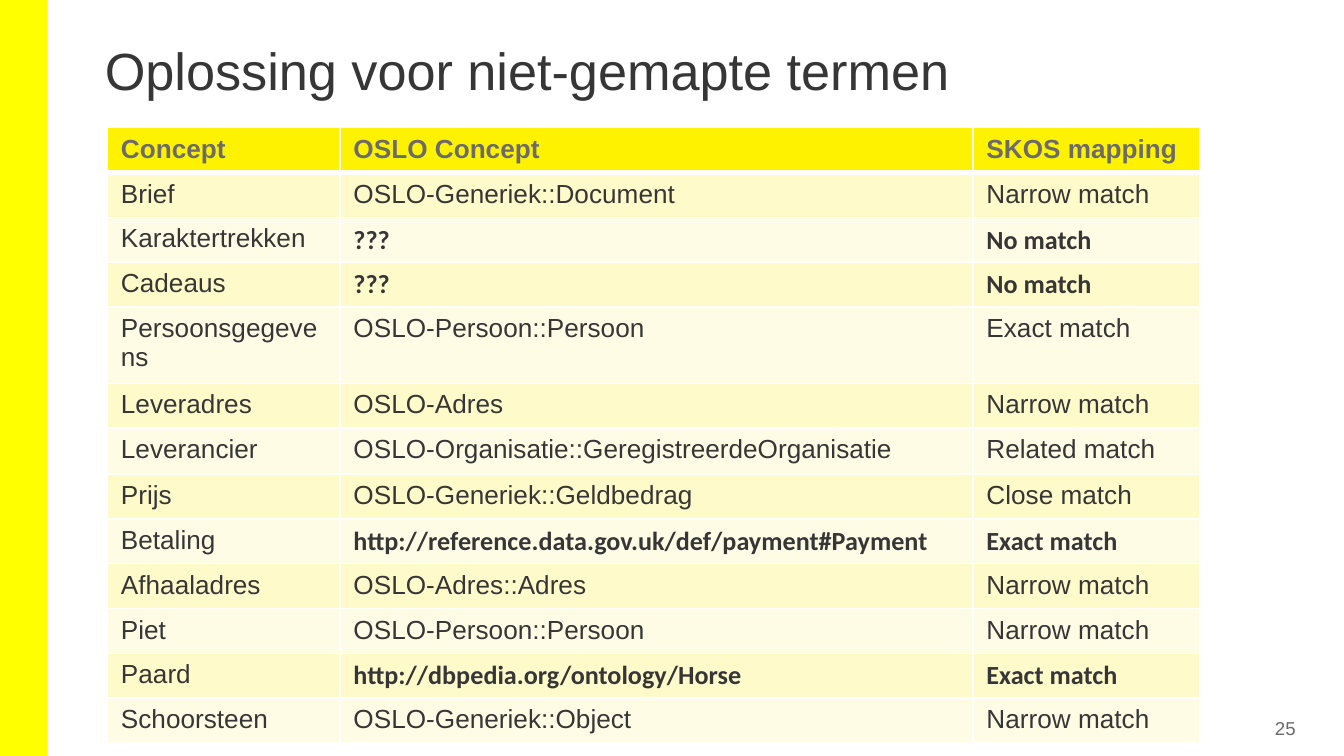
from dataclasses import dataclass

from lxml import etree
from pptx import Presentation
from pptx.dml.color import RGBColor
from pptx.enum.shapes import MSO_SHAPE
from pptx.enum.text import MSO_ANCHOR, MSO_AUTO_SIZE, PP_ALIGN
from pptx.oxml.ns import qn
from pptx.util import Inches, Pt

RECTANGLE = MSO_SHAPE.RECTANGLE
TOP, MIDDLE = MSO_ANCHOR.TOP, MSO_ANCHOR.MIDDLE
LEFT, RIGHT = PP_ALIGN.LEFT, PP_ALIGN.RIGHT
NO_AUTOFIT = MSO_AUTO_SIZE.NONE
TITLE_ONLY = 5


@dataclass(frozen=True)
class Theme:
    font: str = "Arial"
    emphasis_font: str = "Calibri"
    title_size: int = 28
    table_size: int = 14
    number_size: int = 10
    text: str = "373636"
    muted: str = "6B6B6B"
    accent: str = "FFFF00"
    header: str = "FFF200"
    bands: tuple = ("FFFACA", "FFFCE6")
    border: str = "FFFFFF"


THEME = Theme()
WIDTH = 10
HEIGHT = WIDTH * 9 / 16

TITLE = "Oplossing voor niet-gemapte termen"
PAGE_NUMBER = "25"
HEADINGS = ("Concept", "OSLO Concept", "SKOS mapping")
MAPPINGS = [
    ("Brief", "OSLO-Generiek::Document", "Narrow match"),
    ("Karaktertrekken", "???", "No match"),
    ("Cadeaus", "???", "No match"),
    ("Persoonsgegevens", "OSLO-Persoon::Persoon", "Exact match"),
    ("Leveradres", "OSLO-Adres", "Narrow match"),
    ("Leverancier", "OSLO-Organisatie::GeregistreerdeOrganisatie", "Related match"),
    ("Prijs", "OSLO-Generiek::Geldbedrag", "Close match"),
    ("Betaling", "http://reference.data.gov.uk/def/payment#Payment", "Exact match"),
    ("Afhaaladres", "OSLO-Adres::Adres", "Narrow match"),
    ("Piet", "OSLO-Persoon::Persoon", "Narrow match"),
    ("Paard", "http://dbpedia.org/ontology/Horse", "Exact match"),
    ("Schoorsteen", "OSLO-Generiek::Object", "Narrow match"),
]

COLUMN_WIDTHS = (1.73, 4.71, 1.69)
HEADER_HEIGHT, ROW_HEIGHT = 0.33, 0.24
TALL_ROWS = {"Leverancier": 0.34}


def place(shape, left, top, width, height):
    shape.left, shape.top = Inches(left), Inches(top)
    shape.width, shape.height = Inches(width), Inches(height)


def set_margins(frame, horizontal, vertical):
    frame.margin_left = frame.margin_right = Inches(horizontal)
    frame.margin_top = frame.margin_bottom = Inches(vertical)


def write(frame, text, size, color, font=THEME.font, bold=False, align=LEFT):
    """Write one run and give the paragraph's end mark the same font and size."""
    paragraph = frame.paragraphs[0]
    paragraph.alignment = align
    run = paragraph.add_run()
    run.text = text
    run.font.name = font
    run.font.size = Pt(size)
    run.font.bold = bold
    run.font.color.rgb = RGBColor.from_string(color)
    end_mark = etree.SubElement(paragraph._p, qn("a:endParaRPr"), sz=str(size * 100))
    etree.SubElement(end_mark, qn("a:latin"), typeface=font)
    return paragraph


def add_borders(cell, bottom_width):
    properties = cell._tc.get_or_add_tcPr()
    for side, width in (("L", 1), ("R", 1), ("T", 1), ("B", bottom_width)):
        line = etree.SubElement(properties, qn(f"a:ln{side}"), w=str(Pt(width)))
        fill = etree.SubElement(line, qn("a:solidFill"))
        etree.SubElement(fill, qn("a:srgbClr"), val=THEME.border)


def fill_cell(cell, text, fill, color, font=THEME.font, bold=False, bottom_width=1):
    add_borders(cell, bottom_width)
    cell.fill.solid()
    cell.fill.fore_color.rgb = RGBColor.from_string(fill)
    write(cell.text_frame, text, THEME.table_size, color, font, bold)


def add_accent_bar(slide):
    bar = slide.shapes.add_shape(RECTANGLE, 0, 0, Inches(0.35), Inches(HEIGHT))
    bar.shadow.inherit = False
    bar.fill.solid()
    bar.fill.fore_color.rgb = RGBColor.from_string(THEME.accent)
    bar.line.fill.background()


def add_title(slide):
    title = slide.shapes.title
    place(title, 0.69, 0.3, 8.62, 0.81)
    frame = title.text_frame
    frame.auto_size = NO_AUTOFIT
    frame.vertical_anchor = TOP
    set_margins(frame, 0.09, 0.04)
    write(frame, TITLE, THEME.title_size, THEME.text).line_spacing = 0.9


def add_mapping_table(slide):
    heights = [HEADER_HEIGHT] + [TALL_ROWS.get(row[0], ROW_HEIGHT) for row in MAPPINGS]
    table = slide.shapes.add_table(
        len(heights), len(HEADINGS), Inches(0.8), Inches(0.95),
        Inches(sum(COLUMN_WIDTHS)), Inches(4.34)).table
    for column, width in zip(table.columns, COLUMN_WIDTHS):
        column.width = Inches(width)
    for row, height in zip(table.rows, heights):
        row.height = Inches(height)

    for column, heading in enumerate(HEADINGS):
        fill_cell(table.cell(0, column), heading, THEME.header, THEME.muted,
                  bold=True, bottom_width=3)
    for index, mapping in enumerate(MAPPINGS):
        outside_oslo = not mapping[1].startswith("OSLO")
        for column, text in enumerate(mapping):
            emphasised = outside_oslo and column > 0
            font = THEME.emphasis_font if emphasised else THEME.font
            fill_cell(table.cell(index + 1, column), text, THEME.bands[index % 2],
                      THEME.text, font, emphasised)


def add_page_number(slide):
    box = slide.shapes.add_textbox(
        Inches(8.93), Inches(5.31), Inches(0.75), Inches(0.21))
    frame = box.text_frame
    frame.word_wrap = True
    frame.vertical_anchor = MIDDLE
    set_margins(frame, 0.04, 0.04)
    write(frame, PAGE_NUMBER, THEME.number_size, THEME.muted, align=RIGHT)


def main():
    presentation = Presentation()
    presentation.slide_width = Inches(WIDTH)
    presentation.slide_height = Inches(HEIGHT)
    slide = presentation.slides.add_slide(presentation.slide_layouts[TITLE_ONLY])
    add_accent_bar(slide)
    add_page_number(slide)
    add_title(slide)
    add_mapping_table(slide)
    presentation.save("out.pptx")


if __name__ == "__main__":
    main()
